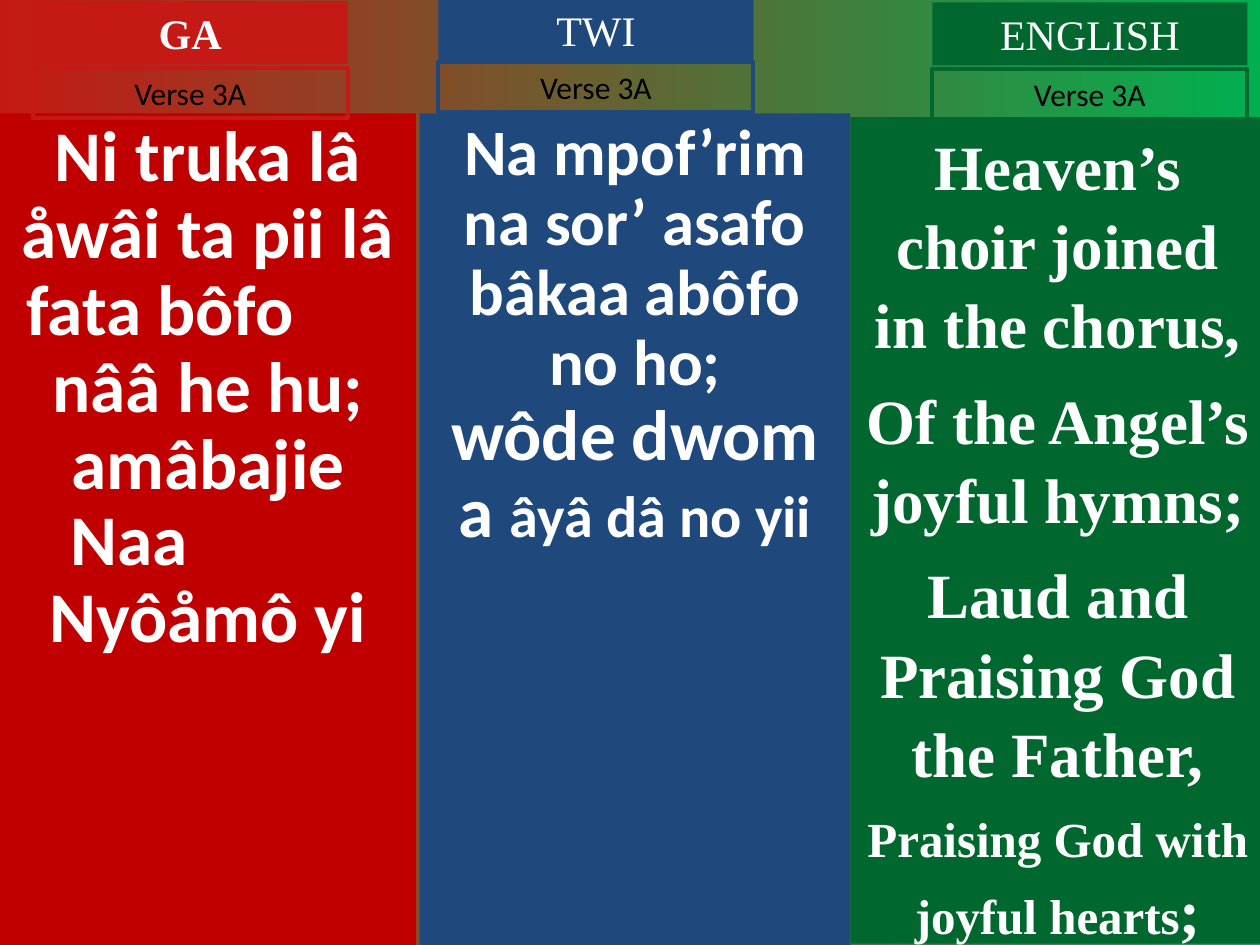
from pptx import Presentation
from pptx.dml.color import RGBColor
from pptx.enum import shapes, text
from pptx.oxml.ns import qn
from pptx.util import Inches, Pt

COLORS = {
    "red": "C00000", "bright_red": "C51915", "blue": "1F497D",
    "green": "00682F", "bright_green": "00B050",
    "white": "FFFFFF", "black": "000000",
}
SERIF, SANS = "Times New Roman", "Calibri"
CENTER, LEFT = text.PP_ALIGN.CENTER, text.PP_ALIGN.LEFT


def color(name):
    return RGBColor.from_string(COLORS[name])


class HymnSlide:
    """Holds the deck, the current page and the shared text style."""

    frame_format = {"word_wrap": True, "auto_size": text.MSO_AUTO_SIZE.NONE,
                    "vertical_anchor": text.MSO_ANCHOR.TOP}

    def __init__(self, deck):
        self.deck = deck
        self.page = deck.slides.add_slide(deck.slide_layouts.get_by_name("Comparison"))

    def background(self, start, end):
        fill = self.page.background.fill
        fill.gradient()
        fill.gradient_angle = 0
        for stop, name, position in zip(fill.gradient_stops, (start, end), (0, 1)):
            stop.color.rgb = color(name)
            stop.position = position

    def place(self, box, left, top, width, height):
        values = {"left": left, "top": top, "width": width, "height": height}
        for name, value in values.items():
            setattr(box, name, Inches(value))

    def add_lines(self, box, lines, font, ink="white", bold=False, spacing=1.0, before=0):
        """Each line is (spans, indent); a None indent means centred."""
        frame = box.text_frame
        for name, value in self.frame_format.items():
            setattr(frame, name, value)
        for index, (spans, indent) in enumerate(lines):
            para = frame.paragraphs[0] if index == 0 else frame.add_paragraph()
            properties = para._p.get_or_add_pPr()
            properties.set("marL", str(Inches(indent or 0)))
            properties.set("indent", "0")
            layout = {"alignment": CENTER if indent is None else LEFT,
                      "line_spacing": spacing, "space_after": Pt(0),
                      "space_before": Pt(before if index else 0)}
            for name, value in layout.items():
                setattr(para, name, value)
            properties.append(properties.makeelement(qn("a:buNone"), {}))
            for words, size in spans:
                span = para.add_run()
                span.text = words
                for name, value in {"name": font, "size": Pt(size), "bold": bold}.items():
                    setattr(span.font, name, value)
                span.font.color.rgb = color(ink)

    def placeholder(self, index, place, fill, lines, font, **style):
        box = self.page.placeholders[index]
        self.place(box, *place)
        box.fill.solid()
        box.fill.fore_color.rgb = color(fill)
        self.add_lines(box, lines, font, **style)

    def rectangle(self, place, lines, font, fill=None, line=None, **style):
        box = self.page.shapes.add_shape(
            shapes.MSO_SHAPE.RECTANGLE, *(Inches(value) for value in place))
        box.shadow.inherit = False
        if fill:
            box.fill.solid()
            box.fill.fore_color.rgb = color(fill)
        else:
            box.fill.background()
        if line:
            box.line.color.rgb = color(line)
            box.line.width = Pt(2.25)
        else:
            box.line.fill.background()
        self.add_lines(box, lines, font, **style)

    def remove_empty(self):
        for box in list(self.page.placeholders):
            if not box.text_frame.text:
                box._element.getparent().remove(box._element)


def lines_of(size, *rows):
    return [([(row, size)], None) for row in rows]


def main():
    deck = Presentation()
    deck.slide_width, deck.slide_height = Inches(10), Inches(7.5)
    hymn = HymnSlide(deck)
    hymn.background("bright_red", "bright_green")

    # Verse panels, one per language
    ga = lines_of(40.7, "Ni truka lâ åwâi ta pii lâ", "fata bôfo", "nââ he hu;",
                  "amâbajie", "Naa", "Nyôåmô yi")
    ga[1] = (ga[1][0], 0.11)
    ga[4] = (ga[4][0], 0.46)
    twi = lines_of(37, "Na mpof’rim na sor’ asafo", "bâkaa abôfo no ho;")
    twi.append(([("wôde dwom a ", 40.7), ("âyâ dâ no yii", 33.3)], None))
    english = lines_of(36, "Heaven’s choir joined in the chorus,",
                       "Of the Angel’s joyful hymns;",
                       "Laud and Praising God the Father,")
    english.append(([("Praising God with joyful hearts", 28), (";", 36)], None))

    hymn.placeholder(1, (0, 0.9, 3.3, 6.6), "red", ga, SANS, bold=True, spacing=0.9)
    hymn.placeholder(2, (3.33, 0.9, 3.42, 6.6), "blue", twi, SANS, bold=True, spacing=0.9)
    hymn.placeholder(3, (6.75, 0.93, 3.29, 6.56), "green", english, SERIF,
                     bold=True, spacing=1.05, before=9)

    # Language headings; the first is the slide title
    hymn.placeholder(0, (0.26, 0.01, 2.5, 0.5), "bright_red",
                     lines_of(24, "GA"), SERIF, bold=True)
    for name, left, top, tint in (("TWI", 3.48, -0.01, "blue"),
                                  ("ENGLISH", 7.4, 0.02, "green")):
        hymn.rectangle((left, top, 2.5, 0.5), lines_of(24, name), SERIF, fill=tint)

    # Verse labels
    for left, top, tint in ((0.26, 0.54, "bright_red"), (3.48, 0.49, "blue"),
                            (7.4, 0.55, "green")):
        hymn.rectangle((left, top, 2.5, 0.4), lines_of(18, "Verse 3A"), SANS,
                       line=tint, ink="black")

    hymn.remove_empty()
    deck.save("out.pptx")


if __name__ == "__main__":
    main()
